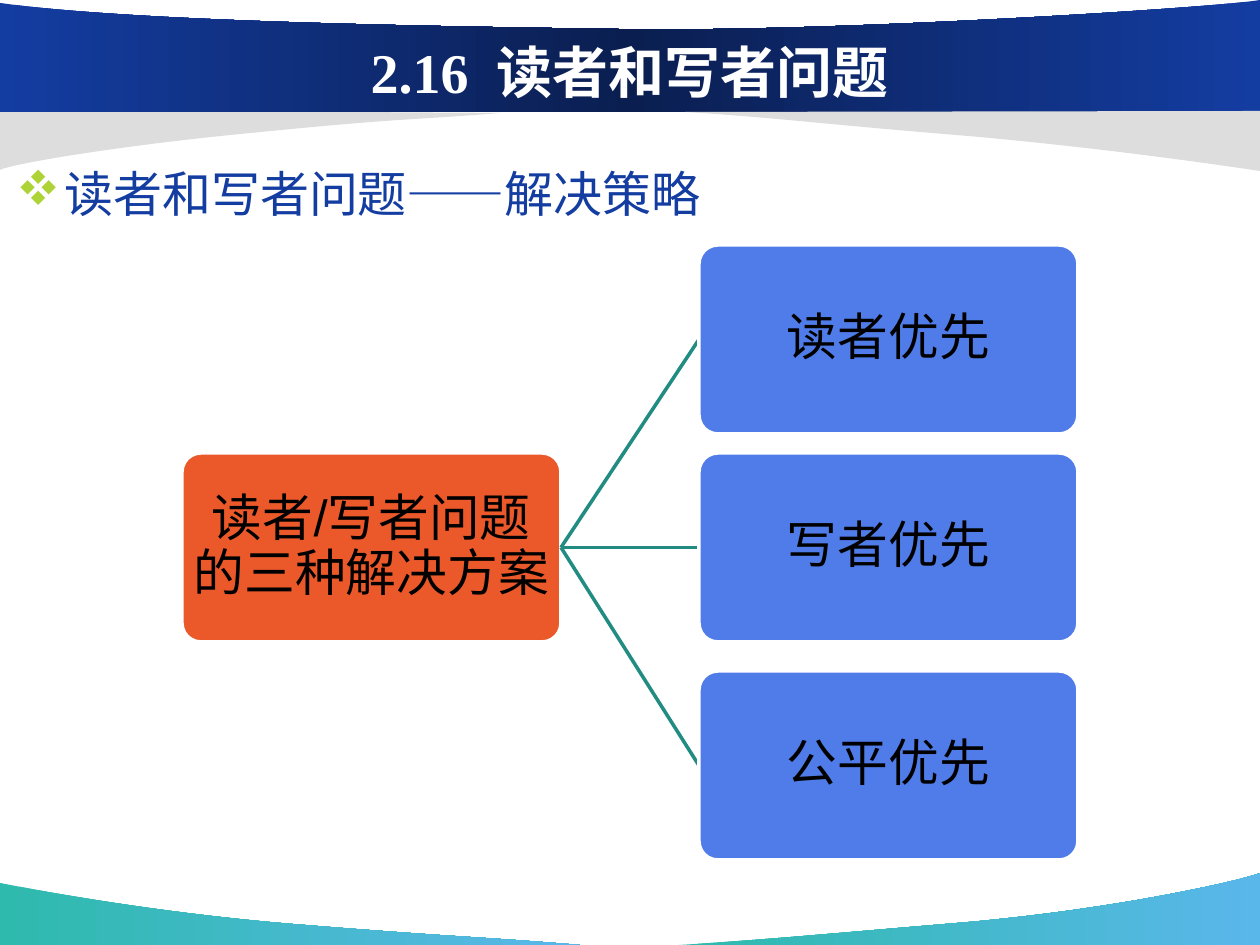
from copy import deepcopy

from lxml.etree import SubElement
from pptx import Presentation
from pptx.dml.color import RGBColor
from pptx.enum.shapes import MSO_CONNECTOR, MSO_SHAPE
from pptx.enum.text import MSO_ANCHOR, PP_ALIGN
from pptx.oxml.ns import qn
from pptx.util import Emu, Pt

SCALE = 914400 / 126
RIGHT_SITE, LEFT_SITE = 3, 1


def px(length):
    return Emu(round(length * SCALE))


def color(value):
    return RGBColor.from_string(value)


class SlideBuilder:
    """Holds the style and the current slide, and adds each kind of element."""

    body_font = "Arial"
    title_font = "Times New Roman"
    title_color, heading_color, label_color = "FFFFFF", "143DA2", "000000"
    bullet_color, line_color, border_color = "AED337", "228C82", "FFFFFF"

    def __init__(self, slide):
        self.slide = slide
        self.shapes = slide.shapes

    def add_run(self, paragraph, text, size, font, value, bold=False):
        run = paragraph.add_run()
        run.text = text
        run.font.size = Pt(size)
        run.font.name = font
        run.font.bold = bold
        run.font.color.rgb = color(value)
        return run

    def outline(self, start, segments, fills):
        builder = self.shapes.build_freeform(*map(px, start), scale=1.0)
        for segment in segments:
            lengths = [px(length) for length in segment]
            builder.add_line_segments(list(zip(lengths[::2], lengths[1::2])), close=False)
        shape = builder.convert_to_shape()
        self.bend(shape, segments)
        shape.shadow.inherit = False
        shape.line.fill.background()
        if len(fills) == 1:
            shape.fill.solid()
            shape.fill.fore_color.rgb = color(fills[0])
        else:
            self.gradient(shape, fills)

    def bend(self, shape, segments):
        outline = next(shape.element.iter(qn("a:path")))
        lines = iter(outline.findall(qn("a:lnTo")))
        for segment in segments:
            group = [next(lines) for _ in segment[::2]]
            if len(group) == 3:
                curve = SubElement(outline, qn("a:cubicBezTo"))
                group[0].addprevious(curve)
                for line in group:
                    curve.append(line[0])
                    outline.remove(line)
        SubElement(outline, qn("a:close"))

    def gradient(self, shape, fills):
        shape.fill.gradient()
        shape.fill.gradient_angle = 0
        stop_list = next(shape.element.iter(qn("a:gsLst")))
        while len(stop_list) < len(fills):
            stop_list.append(deepcopy(stop_list[-1]))
        for index, (stop, value) in enumerate(zip(shape.fill.gradient_stops, fills)):
            stop.position = index / (len(fills) - 1)
            stop.color.rgb = color(value)

    def title(self, number, text, left, top, width, height):
        shape = self.shapes.title
        shape.element.getparent().append(shape.element)
        shape.left, shape.top, shape.width, shape.height = map(px, (left, top, width, height))
        frame = shape.text_frame
        frame.word_wrap = True
        frame.vertical_anchor = MSO_ANCHOR.MIDDLE
        paragraph = frame.paragraphs[0]
        paragraph.alignment = PP_ALIGN.CENTER
        style = (32, self.title_font, self.title_color, True)
        self.add_run(paragraph, number, *style)
        gap = self.add_run(paragraph, " ", *style)
        gap.font._element.set("spc", "800")
        self.add_run(paragraph, text, *style)

    def heading(self, text, left, top, width, height):
        frame = self.shapes.add_textbox(*map(px, (left, top, width, height))).text_frame
        frame.word_wrap = True
        paragraph = frame.paragraphs[0]
        paragraph.line_spacing = 1.2
        properties = paragraph._p.get_or_add_pPr()
        properties.set("marL", str(px(48)))
        properties.set("indent", str(px(-48)))
        bullet_color = SubElement(properties, qn("a:buClr"))
        SubElement(bullet_color, qn("a:srgbClr")).set("val", self.bullet_color)
        bullet_font = SubElement(properties, qn("a:buFont"))
        bullet_font.set("typeface", "Wingdings")
        bullet_font.set("charset", "2")
        SubElement(properties, qn("a:buChar")).set("char", "v")
        self.add_run(paragraph, text, 28, self.body_font, self.heading_color)

    def box(self, text, left, top, width, height, fill):
        shape = self.shapes.add_shape(
            MSO_SHAPE.ROUNDED_RECTANGLE, *map(px, (left, top, width, height)))
        shape.adjustments[0] = 0.1
        shape.shadow.inherit = False
        shape.fill.solid()
        shape.fill.fore_color.rgb = color(fill)
        shape.line.color.rgb = color(self.border_color)
        shape.line.width = Pt(2)
        frame = shape.text_frame
        frame.word_wrap = True
        frame.vertical_anchor = MSO_ANCHOR.MIDDLE
        frame.margin_left = frame.margin_right = px(2)
        frame.margin_top = frame.margin_bottom = px(2)
        paragraph = frame.paragraphs[0]
        paragraph.alignment = PP_ALIGN.CENTER
        paragraph.line_spacing = 0.9
        self.add_run(paragraph, text, 29, self.body_font, self.label_color)
        return shape

    def connect(self, parent, child):
        connector = self.shapes.add_connector(MSO_CONNECTOR.STRAIGHT, 0, 0, 0, 0)
        connector.begin_connect(parent, RIGHT_SITE)
        connector.end_connect(child, LEFT_SITE)
        connector.line.color.rgb = color(self.line_color)
        connector.line.width = Pt(2)
        SubElement(connector.element.spPr, qn("a:effectLst"))
        child.element.addprevious(connector.element)


def main():
    presentation = Presentation()
    presentation.slide_width, presentation.slide_height = px(1260), px(945)
    builder = SlideBuilder(presentation.slides.add_slide(presentation.slide_layouts[5]))

    teal_to_blue = ("2EBAAD", "5AB7EA")
    banner_blues = ("143DA2", "0A1E50", "143DA2")
    gray = ("DDDDDD",)
    outlines = [
        ((580, 945), [(484, 937, 451, 937, 292, 924), (134, 911, 1, 883, 0, 883),
                      (0, 945)], teal_to_blue),
        ((679, 945), [(774, 939, 814, 935, 969, 922), (1124, 908, 1247, 879, 1260, 873),
                      (1260, 945)], teal_to_blue),
        ((501, 113), [(417, 120, 401, 118, 262, 132), (122, 145, 11, 164, 0, 170),
                      (0, 110)], gray),
        ((0, 112), [(1260, 112), (1260, 0), (1215, 8, 823, 33, 614, 29),
                    (404, 26, 127, 21, 0, 3)], banner_blues),
        ((685, 112), [(781, 118, 809, 123, 968, 136), (1126, 150, 1259, 171, 1260, 171),
                      (1260, 111)], gray),
    ]
    for start, segments, fills in outlines:
        builder.outline(start, segments, fills)

    builder.title("2.16", "读者和写者问题", 63, 7, 1134, 129)
    builder.heading("读者和写者问题——解决策略", 4, 146, 1134, 624)

    box_size = (379, 189)
    problem = builder.box("读者/写者问题的三种解决方案", 182, 453, *box_size, "EB592B")
    for strategy, top in (("读者优先", 245), ("写者优先", 453), ("公平优先", 671)):
        child = builder.box(strategy, 699, top, *box_size, "507CE9")
        builder.connect(problem, child)

    presentation.save("out.pptx")


if __name__ == "__main__":
    main()
